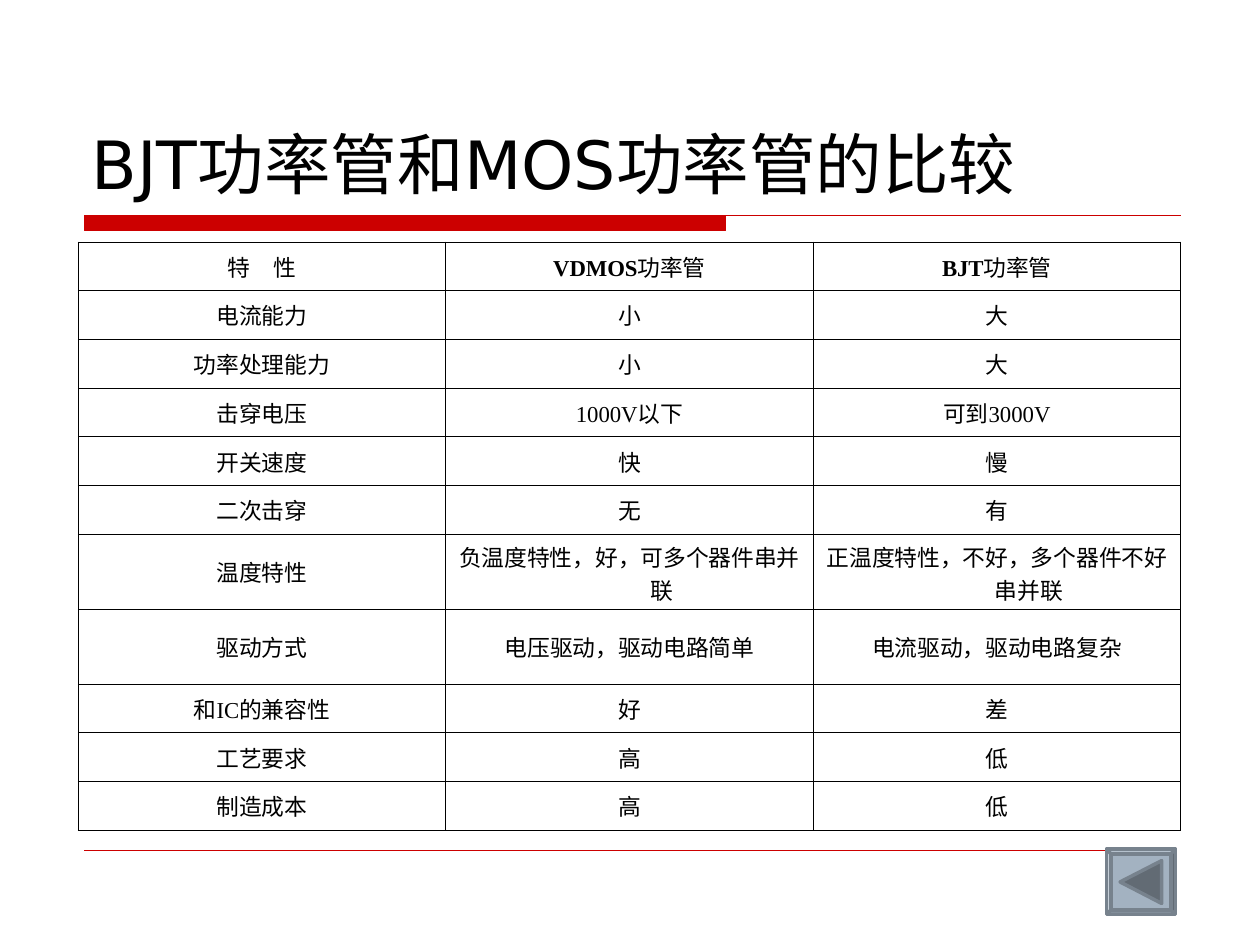
from lxml import etree
from pptx import Presentation
from pptx.dml.color import RGBColor
from pptx.enum.shapes import MSO_CONNECTOR, MSO_SHAPE
from pptx.enum.text import MSO_ANCHOR, PP_ALIGN
from pptx.oxml.ns import qn
from pptx.util import Inches, Pt

STRAIGHT, BEVEL = MSO_CONNECTOR.STRAIGHT, MSO_SHAPE.BEVEL
CENTER, MIDDLE, BOTTOM = PP_ALIGN.CENTER, MSO_ANCHOR.MIDDLE, MSO_ANCHOR.BOTTOM

WIDTH, HEIGHT = Inches(10), Inches(7.5)
COLORS = {"text": "000000", "accent": "CC0000", "button": "A3B2C1",
          "button_edge": "77828D", "arrow": "626B74"}
CJK, SERIF, SANS = "Noto Sans CJK SC", "Times New Roman", "DejaVu Sans"

HEADER = [[("特　性", CJK, False)],
          [("VDMOS", SERIF, True), ("功率管", CJK, False)],
          [("BJT", SERIF, True), ("功率管", CJK, False)]]
COMPARISON = [
    ("电流能力", "小", "大"),
    ("功率处理能力", "小", "大"),
    ("击穿电压", "1000V以下", "可到3000V"),
    ("开关速度", "快", "慢"),
    ("二次击穿", "无", "有"),
    ("温度特性", "负温度特性，好，可多个器件串并联", "正温度特性，不好，多个器件不好串并联"),
    ("驱动方式", "电压驱动，驱动电路简单", "电流驱动，驱动电路复杂"),
    ("和IC的兼容性", "好", "差"),
    ("工艺要求", "高", "低"),
    ("制造成本", "高", "低"),
]
ROW_SHARES = [13] * 6 + [20] * 2 + [13] * 3
CELL_FORMAT = {"vertical_anchor": MIDDLE,
               "margin_left": Inches(0.1), "margin_right": Inches(0.1),
               "margin_top": Inches(0.05), "margin_bottom": Inches(0.05)}
TITLE_FORMAT = {"word_wrap": True, "vertical_anchor": BOTTOM}


def across(percent):
    return int(WIDTH * percent / 100)


def down(percent):
    return int(HEIGHT * percent / 100)


def rgb(name):
    return RGBColor.from_string(COLORS[name])


def set_format(target, values):
    for attribute, value in values.items():
        setattr(target, attribute, value)


def add_run(paragraph, text, font_name, size, bold=False):
    run = paragraph.add_run()
    run.text = text
    set_format(run.font, {"name": font_name, "size": Pt(size), "bold": bold})
    run.font.color.rgb = rgb("text")
    east_asian = etree.SubElement(run.font._element, qn("a:ea"))
    east_asian.set("typeface", CJK)


def paint(shape, fill, line, weight):
    shape.shadow.inherit = False
    shape.fill.solid()
    shape.fill.fore_color.rgb = rgb(fill)
    shape.line.color.rgb = rgb(line)
    shape.line.width = Pt(weight)


def add_outline(slide, *contours):
    """Draw contours given as lists of (x, y) percentages of the slide."""
    builder = None
    for contour in contours:
        start, *rest = [(across(x), down(y)) for x, y in contour]
        if builder is None:
            builder = slide.shapes.build_freeform(*start, scale=1.0)
        else:
            builder.move_to(*start)
        builder.add_line_segments(rest, close=len(rest) > 1)
    return builder.convert_to_shape()


def add_title(slide, text):
    box = slide.shapes.add_textbox(across(6.3), down(4.4), across(87.5), down(17.73))
    set_format(box.text_frame, TITLE_FORMAT)
    add_run(box.text_frame.paragraphs[0], text, SANS, 38)


def add_footer_rule(slide):
    rule = slide.shapes.add_connector(STRAIGHT, across(6.7), down(90),
                                      across(93.3), down(90))
    rule.line.color.rgb = rgb("accent")
    rule.line.width = Pt(0.25)
    etree.SubElement(rule._element.spPr, qn("a:effectLst"))


def set_borders(cell):
    properties = cell._tc.get_or_add_tcPr()
    for side in ("lnL", "lnR", "lnT", "lnB"):
        border = etree.SubElement(properties, qn(f"a:{side}"), w=str(Pt(0.45)))
        fill = etree.SubElement(border, qn("a:solidFill"))
        etree.SubElement(fill, qn("a:srgbClr"), val=COLORS["text"])


def fill_cell(cell, runs):
    set_format(cell, CELL_FORMAT)
    set_borders(cell)
    cell.fill.background()
    paragraph = cell.text_frame.paragraphs[0]
    paragraph.alignment = CENTER
    # Hanging indent shifts wrapped lines to the right
    properties = paragraph._p.get_or_add_pPr()
    properties.set("marL", str(Inches(0.51)))
    properties.set("indent", str(-Inches(0.51)))
    for text, font_name, bold in runs:
        add_run(paragraph, text, font_name, 13, bold)


def add_comparison_table(slide):
    rows = [HEADER] + [[[(text, SERIF, False)] for text in row] for row in COMPARISON]
    height = down(62.27)
    table = slide.shapes.add_table(len(rows), len(HEADER), across(6.2), down(25.6),
                                   across(87.5), height).table
    set_format(table, {"first_row": False, "horz_banding": False})
    for row, share in zip(table.rows, ROW_SHARES):
        row.height = int(height * share / sum(ROW_SHARES))
    for r, row in enumerate(rows):
        for c, runs in enumerate(row):
            fill_cell(table.cell(r, c), runs)


def add_back_button(slide):
    button = slide.shapes.add_shape(BEVEL, across(87.8), down(89.87),
                                    across(5.5), down(6.93))
    button.adjustments[0] = 0.07
    paint(button, "button", "button_edge", 2)
    arrow = add_outline(slide, [(88.9, 93.33), (92.2, 91.07), (92.2, 95.6)])
    paint(arrow, "arrow", "button_edge", 2)


def main():
    presentation = Presentation()
    set_format(presentation, {"slide_width": WIDTH, "slide_height": HEIGHT})
    slide = presentation.slides.add_slide(presentation.slide_layouts[6])

    # Thick bar running into a thin rule below the title
    title_bar = add_outline(
        slide,
        [(6.7, 22.8), (57.6, 22.8), (57.6, 24.4), (6.7, 24.4)],
        [(6.7, 22.8), (93.7, 22.8)])
    paint(title_bar, "accent", "accent", 0.75)
    add_footer_rule(slide)

    # Content
    add_title(slide, "BJT功率管和MOS功率管的比较")
    add_comparison_table(slide)
    add_back_button(slide)
    presentation.save("out.pptx")


if __name__ == "__main__":
    main()
